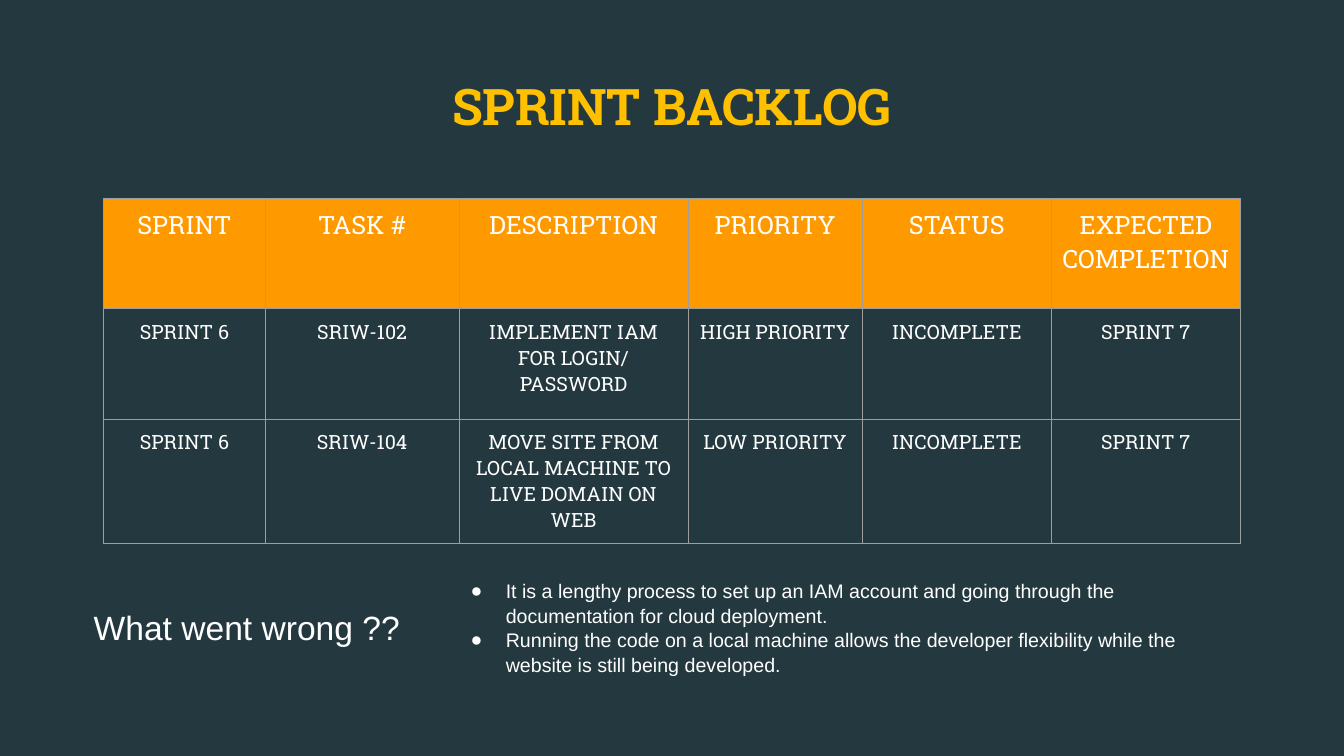
from lxml.etree import SubElement
from pptx import Presentation
from pptx.dml.color import RGBColor
from pptx.enum.text import MSO_ANCHOR as Anchor, PP_ALIGN as Align
from pptx.oxml.ns import qn
from pptx.util import Pt

COLORS = {"background": "24393F", "title": "FFC000", "header": "FF9900",
          "text": "FFFFFF", "border": "9E9E9E"}

TITLE = "SPRINT BACKLOG"
BACKLOG = [
    ("SPRINT", "TASK #", "DESCRIPTION", "PRIORITY", "STATUS", "EXPECTED COMPLETION"),
    ("SPRINT 6", "SRIW-102", "IMPLEMENT IAM FOR LOGIN/ PASSWORD",
     "HIGH PRIORITY", "INCOMPLETE", "SPRINT 7"),
    ("SPRINT 6", "SRIW-104", "MOVE SITE FROM LOCAL MACHINE TO LIVE DOMAIN ON WEB",
     "LOW PRIORITY", "INCOMPLETE", "SPRINT 7"),
]
QUESTION = "What went wrong ??"
REASONS = [
    "It is a lengthy process to set up an IAM account and going through the "
    "documentation for cloud deployment.",
    "Running the code on a local machine allows the developer flexibility while "
    "the website is still being developed.",
]

COLUMN_WIDTHS = [115.5, 138.5, 163.5, 124.5, 135, 135]
ROW_HEIGHTS = [78.8, 78.8, 88.6]
TABLE_LEFT, TABLE_TOP = 74, 141.8
PADDING = 7.2
BULLET_INDENT, BULLET_HANGING = 36, 25.2

FORMATS = {
    "title": {"name": "Roboto Slab", "size": Pt(36), "bold": True},
    "header": {"name": "Roboto Slab", "size": Pt(18)},
    "body": {"name": "Roboto Slab", "size": Pt(14)},
    "question": {"name": "Arial", "size": Pt(24)},
    "reason": {"name": "Arial", "size": Pt(14)},
}


def rgb(name):
    """Return the named colour."""
    return RGBColor.from_string(COLORS[name])


def set_attributes(target, values):
    """Set every attribute in values on target."""
    for name, value in values.items():
        setattr(target, name, value)


def write(paragraph, text, style, color="text", **layout):
    """Fill a paragraph with formatted text."""
    paragraph.text = text
    set_attributes(paragraph, layout)
    set_attributes(paragraph.runs[0].font, FORMATS[style])
    paragraph.runs[0].font.color.rgb = rgb(color)


def margins(size):
    """Return equal margins for all four sides."""
    return {f"margin_{side}": Pt(size) for side in ("left", "top", "right", "bottom")}


def add_text(slide, box, padding):
    """Add a wrapping text box and return its frame."""
    frame = slide.shapes.add_textbox(*map(Pt, box)).text_frame
    set_attributes(frame, {"word_wrap": True, "vertical_anchor": Anchor.TOP, **margins(padding)})
    return frame


def add_bullet(paragraph):
    """Give a paragraph a hanging round bullet."""
    properties = paragraph._p.get_or_add_pPr()
    properties.set("marL", str(Pt(BULLET_INDENT)))
    properties.set("indent", str(-Pt(BULLET_HANGING)))
    color = SubElement(properties, qn("a:buClr"))
    SubElement(color, qn("a:srgbClr"), val=COLORS["text"])
    SubElement(properties, qn("a:buFont"), typeface="Arial")
    SubElement(properties, qn("a:buChar"), char="●")


def add_borders(cell):
    """Draw a thin line on each side of a cell."""
    properties = cell._tc.get_or_add_tcPr()
    for side in "LRTB":
        line = SubElement(properties, qn(f"a:ln{side}"), w=str(Pt(0.75)))
        fill = SubElement(line, qn("a:solidFill"))
        SubElement(fill, qn("a:srgbClr"), val=COLORS["border"])


def add_backlog(slide):
    """Add the backlog table."""
    box = (TABLE_LEFT, TABLE_TOP, sum(COLUMN_WIDTHS), sum(ROW_HEIGHTS))
    table = slide.shapes.add_table(len(BACKLOG), len(COLUMN_WIDTHS), *map(Pt, box)).table
    set_attributes(table, {"first_row": False, "horz_banding": False})
    for column, width in zip(table.columns, COLUMN_WIDTHS):
        column.width = Pt(width)
    for index, (row, height) in enumerate(zip(table.rows, ROW_HEIGHTS)):
        row.height = Pt(height)
        for cell, text in zip(row.cells, BACKLOG[index]):
            set_attributes(cell, margins(PADDING))
            add_borders(cell)
            if index == 0:
                cell.fill.solid()
                cell.fill.fore_color.rgb = rgb("header")
            else:
                cell.fill.background()
            write(cell.text_frame.paragraphs[0], text, "body" if index else "header",
                  alignment=Align.CENTER)


def main():
    """Build and save the sprint backlog slide."""
    presentation = Presentation()
    set_attributes(presentation, {"slide_width": Pt(960), "slide_height": Pt(540)})
    slide = presentation.slides.add_slide(presentation.slide_layouts[6])
    slide.background.fill.solid()
    slide.background.fill.fore_color.rgb = rgb("background")

    title = add_text(slide, (85, 56.9, 790, 51.8), 0)
    write(title.paragraphs[0], TITLE, "title", "title",
          alignment=Align.CENTER, line_spacing=0.95)
    add_backlog(slide)
    question = add_text(slide, (59.8, 424.8, 244, 43.9), PADDING)
    write(question.paragraphs[0], QUESTION, "question", line_spacing=1.05)
    reasons = add_text(slide, (318.2, 405.4, 575.3, 82.1), PADDING)
    for index, reason in enumerate(REASONS):
        paragraph = reasons.add_paragraph() if index else reasons.paragraphs[0]
        add_bullet(paragraph)
        write(paragraph, reason, "reason", line_spacing=1.05)
    presentation.save("out.pptx")


if __name__ == "__main__":
    main()
